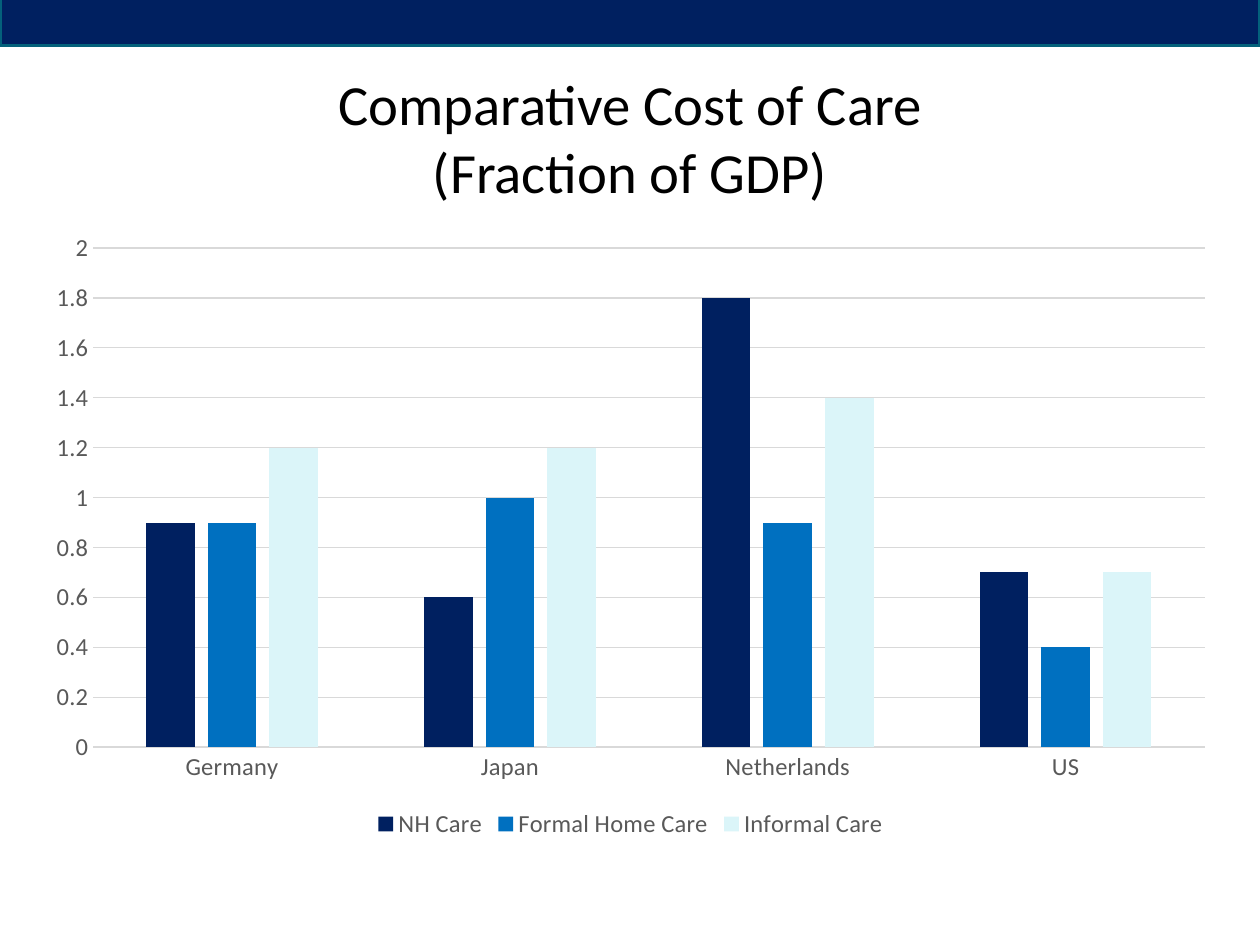
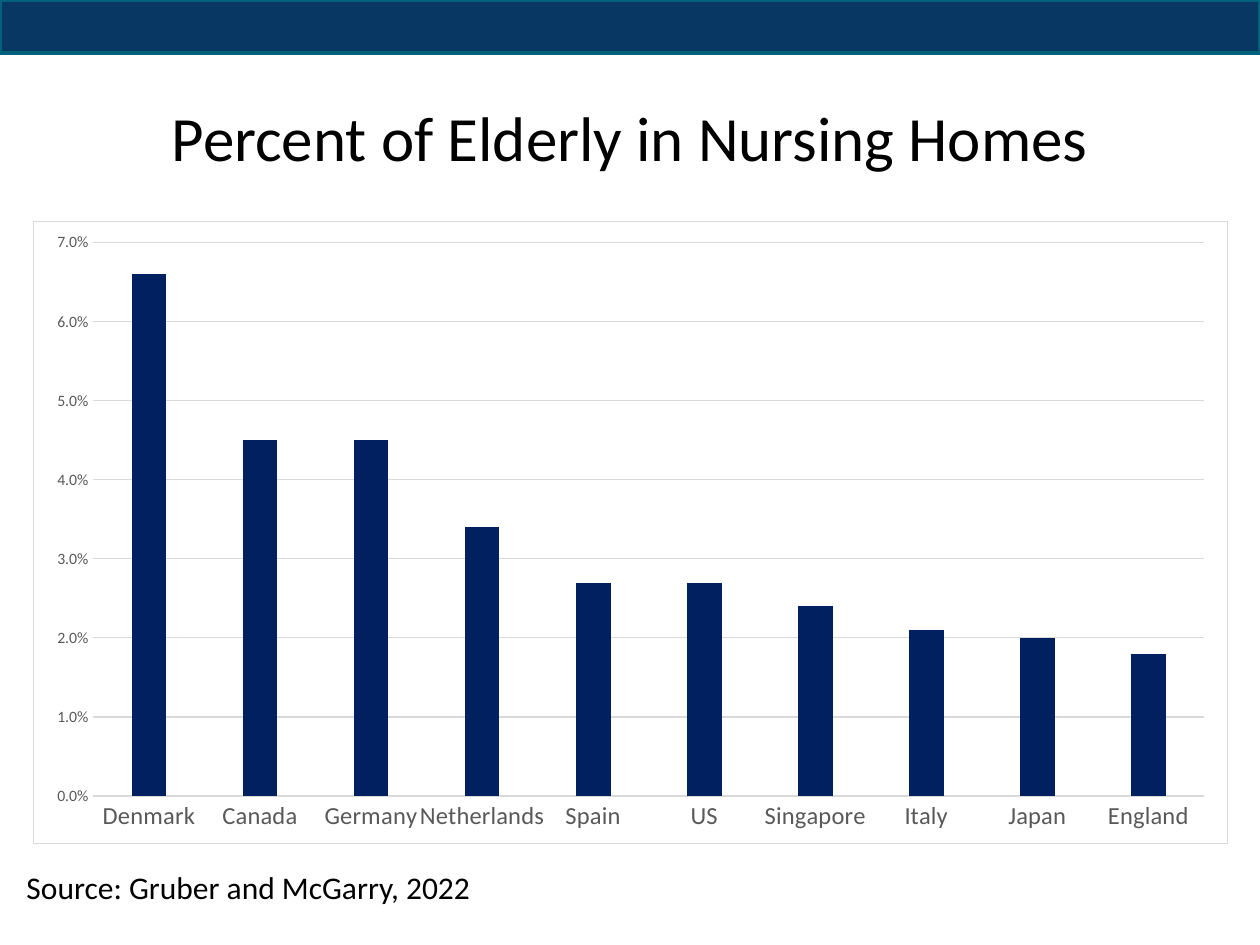
import pptx
import pptx.chart.data
import pptx.dml.color
import pptx.enum.chart
import pptx.enum.shapes
import pptx.enum.text
import pptx.oxml
import pptx.oxml.ns
import pptx.util

Inches = pptx.util.Inches
Pt = pptx.util.Pt
RGBColor = pptx.dml.color.RGBColor

FONT = "Calibri"
BLACK = RGBColor(0x00, 0x00, 0x00)
NAVY = RGBColor(0x00, 0x20, 0x60)
BLUE = RGBColor(0x00, 0x70, 0xC0)
PALE = RGBColor(0xDB, 0xF5, 0xF9)
DEEP_BLUE = RGBColor(0x08, 0x37, 0x63)
TEAL = RGBColor(0x04, 0x61, 0x7B)
GRAY = RGBColor(0x59, 0x59, 0x59)
LIGHT_GRAY = RGBColor(0xD9, 0xD9, 0xD9)


def style_font(font, size, color):
    """Set the shared typeface with a size and colour."""
    font.name = FONT
    font.size = Pt(size)
    font.color.rgb = color


def add_text(slide, box, lines, size, align, anchor):
    """Add a text box whose lines are runs parted by line breaks."""
    frame = slide.shapes.add_textbox(*map(Inches, box)).text_frame
    frame.word_wrap = True
    frame.vertical_anchor = anchor
    paragraph = frame.paragraphs[0]
    paragraph.alignment = align
    for index, line in enumerate(lines):
        if index:
            paragraph.add_line_break()
        run = paragraph.add_run()
        run.text = line
        style_font(run.font, size, BLACK)
    return frame


def add_title(slide, lines, size):
    """Add the centred slide title."""
    add_text(slide, (0.5, 0.46, 9, 1.25), lines, size,
             pptx.enum.text.PP_ALIGN.CENTER, pptx.enum.text.MSO_ANCHOR.MIDDLE)


def add_source(slide, text):
    """Add the source note below the chart."""
    frame = add_text(slide, (-0.01, 6.84, 5.01, 0.4), [text], 18,
                     pptx.enum.text.PP_ALIGN.LEFT, pptx.enum.text.MSO_ANCHOR.TOP)
    frame.margin_left = Inches(0.22)


def add_band(slide, top, color):
    """Add the full-width band along the top edge."""
    band = slide.shapes.add_shape(
        pptx.enum.shapes.MSO_SHAPE.RECTANGLE,
        Inches(0), Inches(top), Inches(10), Inches(0.42))
    band.shadow.inherit = False
    band.fill.solid()
    band.fill.fore_color.rgb = color
    band.line.color.rgb = TEAL
    band.line.width = Pt(2)


def style_line(line):
    """Make a chart line thin and light gray."""
    line.color.rgb = LIGHT_GRAY
    line.width = Pt(0.75)


def style_axes(chart, value_size, maximum, step, number_format):
    """Style both axes and fix the value scale."""
    for axis, size in ((chart.category_axis, 14), (chart.value_axis, value_size)):
        axis.major_tick_mark = pptx.enum.chart.XL_TICK_MARK.NONE
        axis.minor_tick_mark = pptx.enum.chart.XL_TICK_MARK.NONE
        style_font(axis.tick_labels.font, size, GRAY)
    style_line(chart.category_axis.format.line)
    axis = chart.value_axis
    axis.format.line.fill.background()
    style_line(axis.major_gridlines.format.line)
    axis.minimum_scale = 0
    axis.maximum_scale = maximum
    axis.major_unit = step
    axis.tick_labels.number_format = number_format
    axis.tick_labels.number_format_is_linked = False


def add_column_chart(slide, categories, series, font_size, value_size,
                     maximum, step, number_format):
    """Add a clustered column chart from (name, colour, values) series."""
    data = pptx.chart.data.CategoryChartData(number_format=number_format)
    data.categories = categories
    for name, _, values in series:
        data.add_series(name, values)
    chart = slide.shapes.add_chart(
        pptx.enum.chart.XL_CHART_TYPE.COLUMN_CLUSTERED,
        Inches(0.26), Inches(1.75), Inches(9.49), Inches(4.95), data).chart
    chart.has_title = False
    chart.has_legend = False
    style_font(chart.font, font_size, BLACK)
    style_axes(chart, value_size, maximum, step, number_format)
    plot = chart.plots[0]
    plot.gap_width = 219
    plot.overlap = -27
    plot.vary_by_categories = False
    for drawn, (_, color, _) in zip(plot.series, series):
        drawn.format.fill.solid()
        drawn.format.fill.fore_color.rgb = color
        drawn.invert_if_negative = False
    return chart


def add_legend(chart):
    """Show the legend below the plot."""
    chart.has_legend = True
    chart.legend.position = pptx.enum.chart.XL_LEGEND_POSITION.BOTTOM
    chart.legend.include_in_layout = False
    style_font(chart.legend.font, 14, GRAY)


def add_chart_frame(chart):
    """Give the chart area a white fill and a thin border."""
    properties = pptx.oxml.parse_xml(
        f'<c:spPr {pptx.oxml.ns.nsdecls("c", "a")}>'
        '<a:solidFill><a:srgbClr val="FFFFFF"/></a:solidFill>'
        f'<a:ln w="{Pt(0.75)}"><a:solidFill><a:srgbClr val="{LIGHT_GRAY}"/>'
        '</a:solidFill></a:ln></c:spPr>')
    chart.element.find(pptx.oxml.ns.qn("c:chart")).addnext(properties)


def build_cost_slide(slide):
    """Compare the cost of three kinds of care in four countries."""
    add_title(slide, ["Comparative Cost of Care", "(Fraction of GDP)"], 32.4)
    chart = add_column_chart(
        slide, ["Germany", "Japan", "Netherlands", "US"],
        [("NH Care", NAVY, (0.9, 0.6, 1.8, 0.7)),
         ("Formal Home Care", BLUE, (0.9, 1, 0.9, 0.4)),
         ("Informal Care", PALE, (1.2, 1.2, 1.4, 0.7))],
        font_size=14, value_size=14, maximum=2, step=0.2, number_format="General")
    add_legend(chart)
    add_band(slide, -0.06, NAVY)


def build_nursing_home_slide(slide):
    """Rank countries by the share of elderly in nursing homes."""
    shares = {"Denmark": 0.066, "Canada": 0.045, "Germany": 0.045,
              "Netherlands": 0.034, "Spain": 0.027, "US": 0.027,
              "Singapore": 0.024, "Italy": 0.021, "Japan": 0.02,
              "England": 0.018}
    add_title(slide, ["Percent of Elderly in Nursing Homes"], 36)
    add_band(slide, 0, DEEP_BLUE)
    chart = add_column_chart(
        slide, list(shares), [("Series 1", NAVY, list(shares.values()))],
        font_size=10, value_size=9, maximum=0.07, step=0.01, number_format="0.0%")
    add_chart_frame(chart)
    add_source(slide, "Source: Gruber and McGarry, 2022")


def main():
    """Build and save the presentation."""
    presentation = pptx.Presentation()
    presentation.slide_width = Inches(10)
    presentation.slide_height = Inches(7.5)
    blank = presentation.slide_layouts[6]
    for build in (build_cost_slide, build_nursing_home_slide):
        build(presentation.slides.add_slide(blank))
    presentation.save("out.pptx")


if __name__ == "__main__":
    main()
